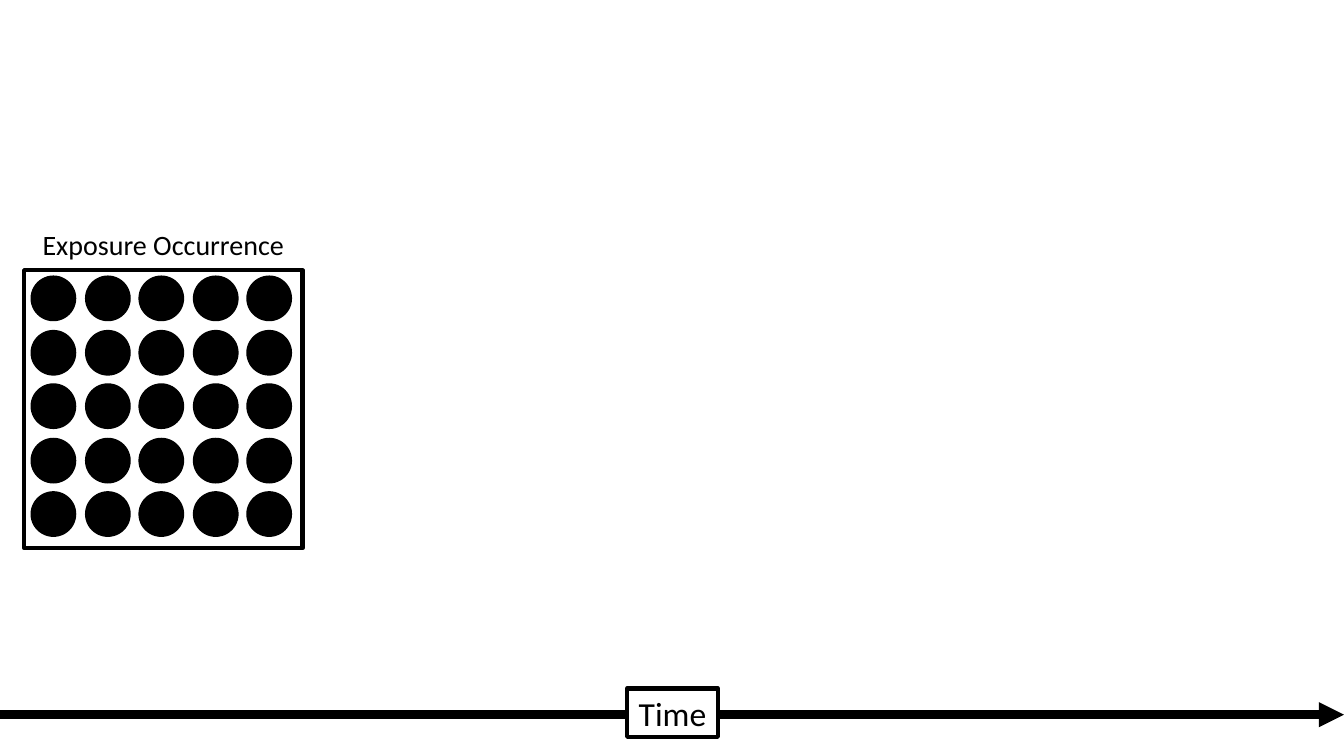
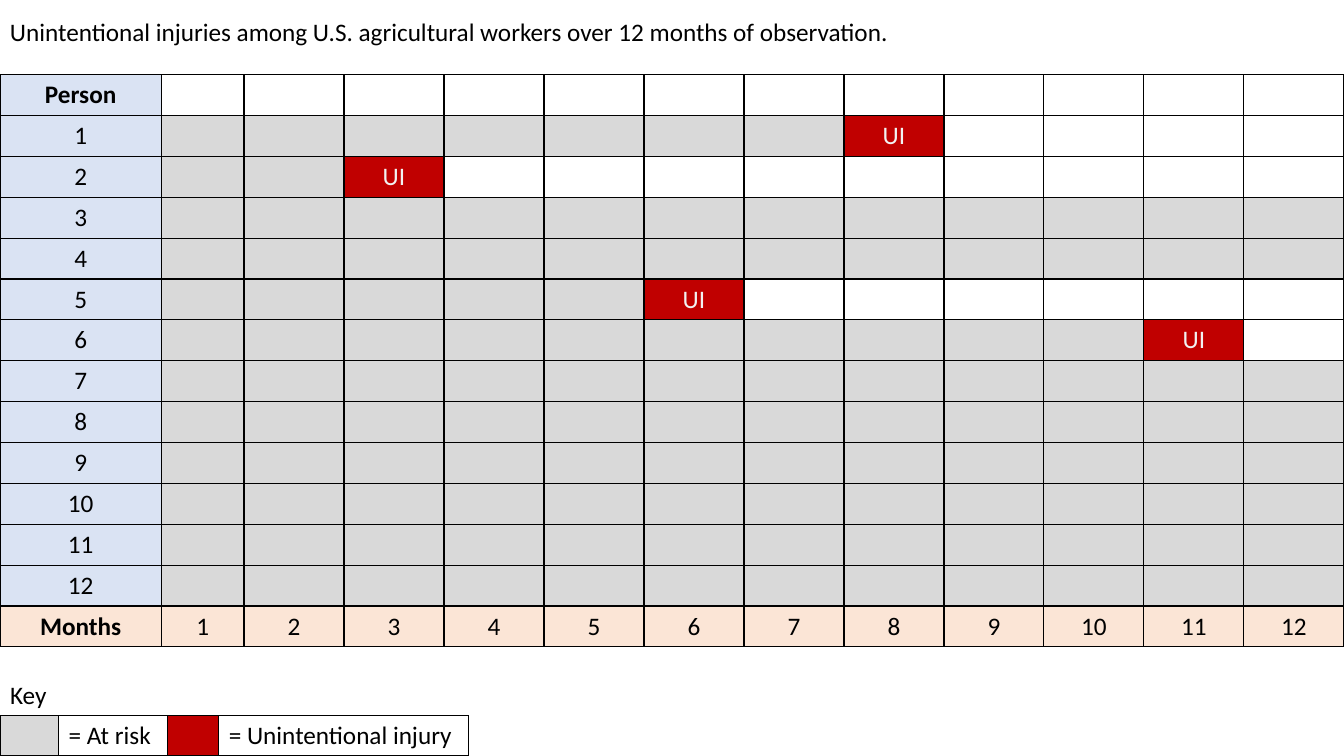
from dataclasses import dataclass
from typing import Any, NamedTuple

from lxml.etree import SubElement
from pptx import Presentation
from pptx.dml.color import RGBColor
from pptx.enum.shapes import MSO_CONNECTOR, MSO_SHAPE
from pptx.enum.text import MSO_ANCHOR, MSO_AUTO_SIZE, PP_ALIGN
from pptx.oxml.ns import qn
from pptx.util import Emu, Pt


@dataclass(frozen=True)
class Theme:
    font: str = "Calibri"
    black: str = "000000"
    white: str = "FFFFFF"
    pale: str = "F2F2F2"
    risk: str = "D9D9D9"
    injury: str = "C00000"
    person: str = "DAE3F3"
    month: str = "FBE5D6"
    body: int = 18
    label: int = 20
    axis: int = 24
    hair: int = 1
    frame: int = 3
    arrow: int = 6


THEME = Theme()
WIDTH, HEIGHT = 1333, 750
SCALE = 9144  # EMU in one px, at 100 px to the inch
PLAIN = "{2D5ABB26-0587-4C30-8999-92F81FD0307C}"  # table style without grid
MONTHS = range(1, 13)
PEOPLE = range(1, 13)
INJURED = {1: 8, 2: 3, 5: 6, 6: 11}  # person: month of injury


class Box(NamedTuple):
    left: int
    top: int
    width: int
    height: int

    def emu(self) -> list[Emu]:
        return [px(n) for n in self]


@dataclass(frozen=True)
class Cell:
    text: str = ""
    fill: str | None = None
    ink: str = THEME.black
    bold: bool = False
    align: PP_ALIGN = PP_ALIGN.CENTER
    sides: str = "LRTB"


def px(n: int) -> Emu:
    return Emu(n * SCALE)


def put(target: Any, values: dict[str, Any]) -> None:
    for name, value in values.items():
        setattr(target, name, value)


def paint(fill: Any, color: str | None) -> None:
    if color is None:
        fill.background()
    else:
        fill.solid()
        fill.fore_color.rgb = RGBColor.from_string(color)


def write(frame: Any, text: str, size: int, align: PP_ALIGN,
          ink: str = THEME.black, bold: bool = False) -> None:
    para = frame.paragraphs[0]
    para.alignment = align
    font = para.font
    if text:
        run = para.add_run()
        run.text = text
        font = run.font
    put(font, {"name": THEME.font, "size": Pt(size), "bold": bold})
    paint(font.fill, ink)


def shape(shapes: Any, kind: MSO_SHAPE, box: Box, fill: str | None,
          weight: int) -> Any:
    item = shapes.add_shape(kind, *box.emu())
    item.shadow.inherit = False
    paint(item.fill, fill)
    paint(item.line.fill, THEME.black)
    item.line.width = Pt(weight)
    return item


def label(slide: Any, box: Box, text: str, size: int, align: PP_ALIGN,
          wrap: bool) -> None:
    frame = slide.shapes.add_textbox(*box.emu()).text_frame
    put(frame, {"word_wrap": wrap, "auto_size": MSO_AUTO_SIZE.SHAPE_TO_FIT_TEXT})
    write(frame, text, size, align)


def arrow(slide: Any, y: int) -> None:
    line = slide.shapes.add_connector(
        MSO_CONNECTOR.STRAIGHT, px(0), px(y), px(WIDTH), px(y))
    paint(line.line.fill, THEME.black)
    line.line.width = Pt(THEME.arrow)
    props = line.element.spPr
    SubElement(props.find(qn("a:ln")), qn("a:tailEnd"), type="triangle")
    SubElement(props, qn("a:effectLst"))


def edge(cell: Any, sides: str) -> None:
    """Rule the named sides; call before the fill, which must come last."""
    props = cell._tc.get_or_add_tcPr()
    for side in sides:
        line = SubElement(props, qn(f"a:ln{side}"), w=str(Pt(THEME.hair)))
        fill = SubElement(line, qn("a:solidFill"))
        SubElement(fill, qn("a:srgbClr"), val=THEME.black)


def grid(slide: Any, box: Box, widths: list[int], rows: list[list[Cell]]) -> None:
    """Draw a table with equal rows and the column widths given in EMU."""
    table = slide.shapes.add_table(len(rows), len(widths), *box.emu()).table
    put(table, {"first_row": False, "horz_banding": False})
    table._tbl.tblPr.find(qn("a:tableStyleId")).text = PLAIN
    for column, width in zip(table.columns, widths):
        column.width = Emu(width)
    for r, row in enumerate(rows):
        table.rows[r].height = Emu(px(box.height) // len(rows))
        for c, item in enumerate(row):
            cell = table.cell(r, c)
            edge(cell, item.sides)
            paint(cell.fill, item.fill)
            write(cell.text_frame, item.text, THEME.body, item.align,
                  item.ink, item.bold)


def status(person: int, month: int) -> Cell:
    hit = INJURED.get(person, len(MONTHS) + 1)
    if month == hit:
        return Cell("UI", THEME.injury, THEME.pale)
    return Cell(fill=THEME.risk if month < hit else None)


def draw_time(slide: Any) -> None:
    arrow(slide, 709)
    time = shape(slide.shapes, MSO_SHAPE.RECTANGLE, Box(622, 683, 90, 48),
                 THEME.white, THEME.frame)
    put(time.text_frame,
        {"word_wrap": False, "vertical_anchor": MSO_ANCHOR.MIDDLE})
    write(time.text_frame, "Time", THEME.axis, PP_ALIGN.CENTER)

    group = slide.shapes.add_group_shape().shapes
    shape(group, MSO_SHAPE.RECTANGLE, Box(24, 268, 276, 276), None, THEME.frame)
    steps = [(107 * n + 1) // 2 for n in range(5)]
    for y in steps:
        for x in steps:
            shape(group, MSO_SHAPE.OVAL, Box(31 + x, 274 + y, 44, 44),
                  THEME.black, THEME.hair)
    label(slide, Box(31, 221, 262, 44), "Exposure Occurrence", THEME.label,
          PP_ALIGN.CENTER, False)


def draw_risk(slide: Any) -> None:
    rows = [[Cell("Person", THEME.person, bold=True), *(Cell() for _ in MONTHS)]]
    rows += [[Cell(str(p), THEME.person), *(status(p, m) for m in MONTHS)]
             for p in PEOPLE]
    rows.append([Cell("Months", THEME.month, bold=True),
                 *(Cell(str(m), THEME.month) for m in MONTHS)])
    first = [px(160), px(82)]
    rest = len(MONTHS) - 1
    widths = first + [(px(WIDTH) - sum(first)) // rest] * rest
    grid(slide, Box(0, 74, WIDTH, 568), widths, rows)

    label(slide, Box(0, 11, 952, 40),
          "Unintentional injuries among U.S. agricultural workers "
          "over 12 months of observation.",
          THEME.body, PP_ALIGN.LEFT, True)

    left = PP_ALIGN.LEFT
    key = [
        [Cell(text, align=left, sides="B") for text in ("Key", "", "", "")],
        [Cell(fill=THEME.risk), Cell("= At risk", align=left),
         Cell(fill=THEME.injury), Cell("= Unintentional injury", align=left)],
    ]
    grid(slide, Box(0, 670, 465, 80), [px(n) for n in (58, 108, 51, 248)], key)


def main() -> None:
    deck = Presentation()
    put(deck, {"slide_width": px(WIDTH), "slide_height": px(HEIGHT)})
    for draw in (draw_time, draw_risk):
        draw(deck.slides.add_slide(deck.slide_layouts[6]))
    deck.save("out.pptx")


if __name__ == "__main__":
    main()
